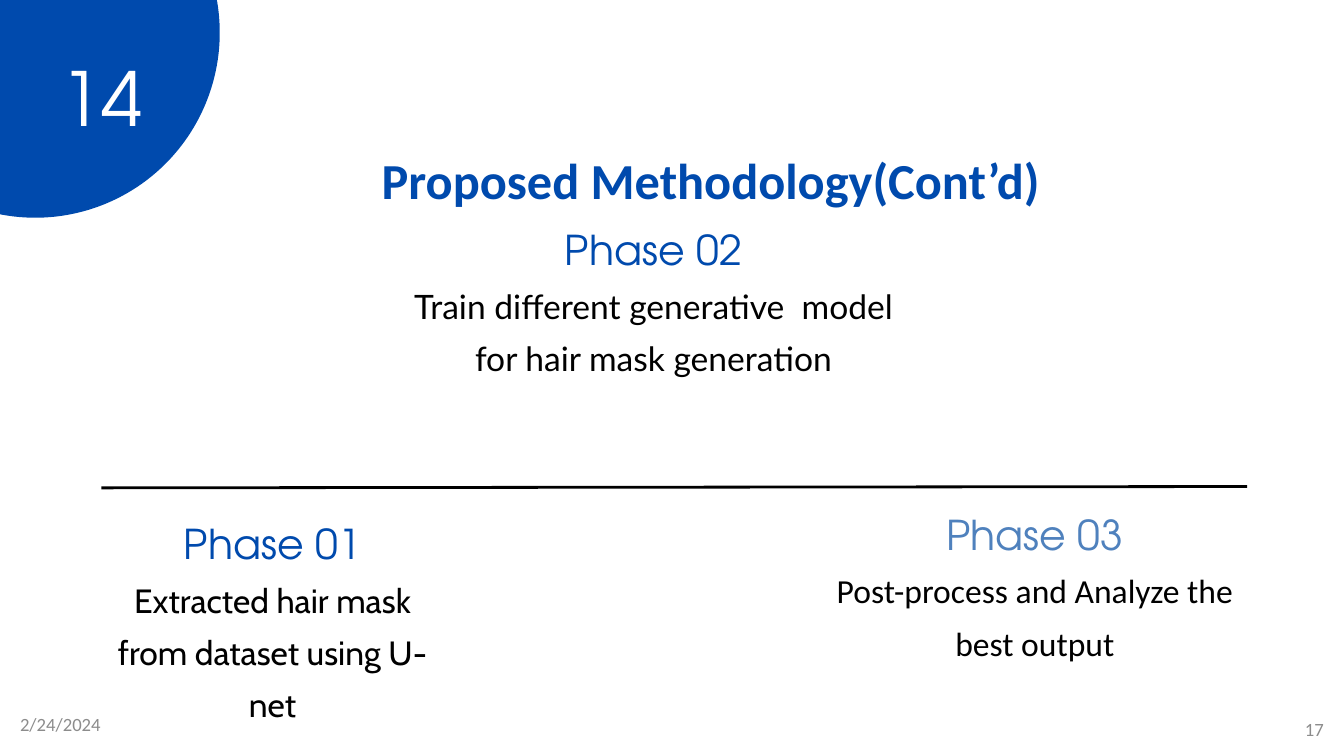
from lxml import etree
from pptx import Presentation
from pptx.dml.color import RGBColor
from pptx.enum.shapes import MSO_CONNECTOR, MSO_SHAPE
from pptx.enum.text import MSO_ANCHOR, MSO_AUTO_SIZE, PP_ALIGN
from pptx.oxml.ns import qn
from pptx.util import Inches, Pt

LEFT, CENTER, RIGHT = PP_ALIGN.LEFT, PP_ALIGN.CENTER, PP_ALIGN.RIGHT
TOP, MIDDLE = MSO_ANCHOR.TOP, MSO_ANCHOR.MIDDLE
OVAL, STRAIGHT = MSO_SHAPE.OVAL, MSO_CONNECTOR.STRAIGHT
NO_AUTOFIT = MSO_AUTO_SIZE.NONE

COLORS = {
    "blue": "004AAD",
    "light_blue": "4F81BD",
    "black": "000000",
    "white": "FFFFFF",
    "gray": "8C8C8C",
}
DISPLAY = "TeX Gyre Adventor"

PHASES = [
    ("Phase 01", "blue", "Extracted hair mask from dataset using U-net",
     "Cabin", (1.44, 7.67, 5.23, 2.29), 0),
    ("Phase 03", "light_blue", "Post-process and Analyze the best output",
     "Calibri", (12.24, 7.53, 6.32, 2.29), 0),
    ("Phase 02", "blue",
     "Train different generative  model for hair mask generation",
     "Lato", (5.81, 3.25, 7.83, 2.38), 1),
]


def rgb(name):
    return RGBColor.from_string(COLORS[name])


def set_frame(sp, anchor=TOP, inset=0):
    tf = sp.text_frame
    tf.word_wrap = True
    tf.auto_size = NO_AUTOFIT
    tf.vertical_anchor = anchor
    tf.margin_left = tf.margin_right = Inches(0.1 * inset)
    tf.margin_top = tf.margin_bottom = Inches(0.05 * inset)
    return tf


def set_paragraph(p, text, font, size, color, align=CENTER, spacing=None, bold=False):
    p.text = text
    p.alignment = align
    if spacing:
        p.line_spacing = Pt(spacing)
    p.font.name = font
    p.font.size = Pt(size)
    p.font.bold = bold
    p.font.color.rgb = rgb(color)


def add_box(s, box, anchor=TOP, inset=0):
    return set_frame(s.shapes.add_textbox(*map(Inches, box)), anchor, inset)


def add_divider(s):
    line = s.shapes.add_connector(
        STRAIGHT, Inches(1.51), Inches(7.26), Inches(18.56), Inches(7.24))
    line.line.color.rgb = rgb("black")
    line.line.width = Pt(3)
    etree.SubElement(line._element.spPr, qn("a:effectLst"))


def add_corner_number(s):
    sp = s.shapes.add_shape(
        OVAL, Inches(-2.22), Inches(-2.27), Inches(5.49), Inches(5.51))
    sp.shadow.inherit = False
    sp.fill.solid()
    sp.fill.fore_color.rgb = rgb("blue")
    sp.line.fill.background()
    tf = add_box(s, (0.45, 0.55, 2.12, 1.51))
    set_paragraph(tf.paragraphs[0], "14", DISPLAY, 80, "white", spacing=112)


def add_phase(s, heading, color, text, font, box, inset):
    tf = add_box(s, box, inset=inset)
    set_paragraph(tf.paragraphs[0], heading, DISPLAY, 44, color, spacing=56)
    set_paragraph(tf.add_paragraph(), text, font, 36, "black", spacing=56)


def add_footer(s, text, left, top, align):
    tf = add_box(s, (left, top, 2.33, 0.4), MIDDLE, 1)
    set_paragraph(tf.paragraphs[0], text, "Calibri", 20, "gray", align)


def set_title(s, text):
    sp = s.shapes.title
    sp.left, sp.top, sp.width, sp.height = map(Inches, (4.16, 1.56, 12.84, 1.43))
    tf = set_frame(sp)
    set_paragraph(tf.paragraphs[0], text, "Calibri", 54, "blue", spacing=112, bold=True)


def main():
    prs = Presentation()
    prs.slide_width = Inches(20)
    prs.slide_height = Inches(11.25)
    s = prs.slides.add_slide(prs.slide_layouts[5])
    s.background.fill.solid()
    s.background.fill.fore_color.rgb = rgb("white")
    add_divider(s)
    add_corner_number(s)
    for phase in PHASES:
        add_phase(s, *phase)
    add_footer(s, "2/24/2024", 0.2, 10.58, LEFT)
    add_footer(s, "17", 17.47, 10.65, RIGHT)
    set_title(s, "Proposed Methodology(Cont’d)")
    prs.save("out.pptx")


if __name__ == "__main__":
    main()
